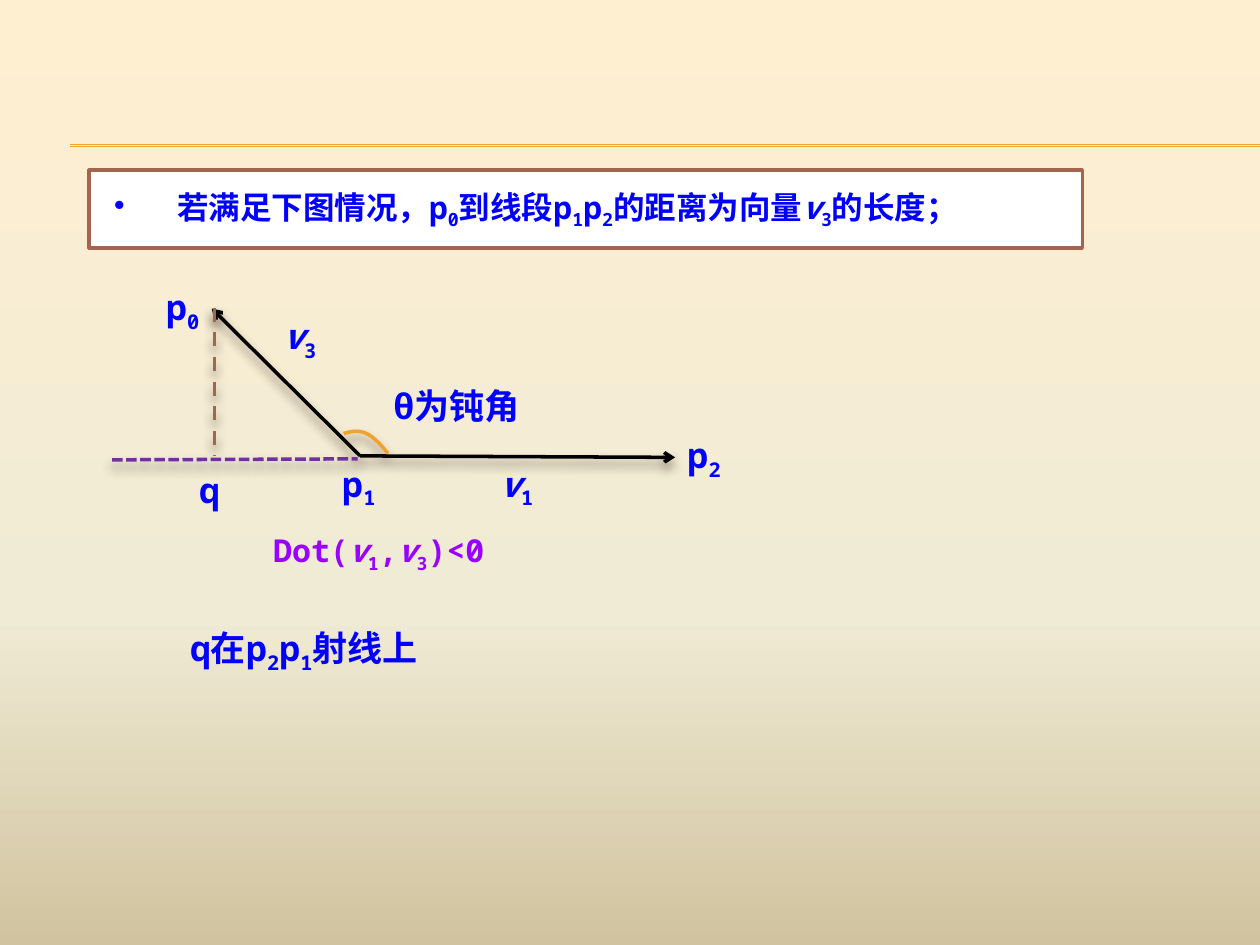
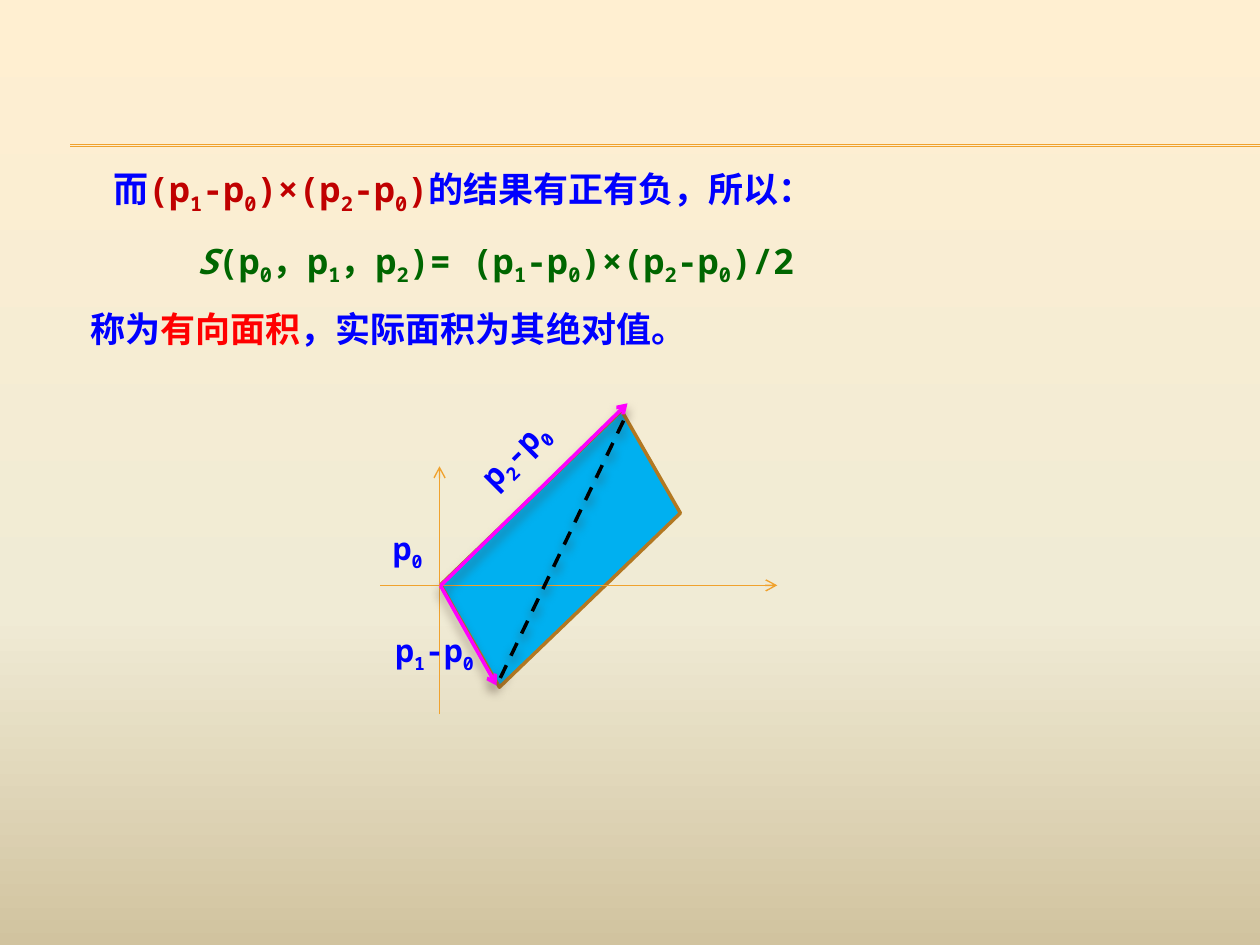
from dataclasses import dataclass
from typing import NamedTuple, Optional

from lxml.etree import SubElement
from copy import deepcopy
from pptx import Presentation
from pptx.dml.color import RGBColor
from pptx.enum.dml import MSO_LINE
from pptx.enum.shapes import MSO_CONNECTOR, MSO_SHAPE
from pptx.enum.text import MSO_ANCHOR, PP_ALIGN
from pptx.oxml.ns import qn
from pptx.util import Cm, Pt

FONT = "Noto Sans Mono"
BLUE = RGBColor(0x00, 0x00, 0xFF)
RED = RGBColor(0xFF, 0x00, 0x00)
DARK_RED = RGBColor(0xC0, 0x00, 0x00)
GREEN = RGBColor(0x00, 0x66, 0x00)
VIOLET = RGBColor(0x99, 0x00, 0xFF)
PURPLE = RGBColor(0x70, 0x30, 0xA0)
MAGENTA = RGBColor(0xFF, 0x00, 0xFF)
ORANGE = RGBColor(0xF0, 0xA2, 0x2E)
BROWN = RGBColor(0xA5, 0x64, 0x4E)
OCHRE = RGBColor(0xB2, 0x78, 0x22)
SKY = RGBColor(0x00, 0xB0, 0xF0)
BLACK = RGBColor(0x00, 0x00, 0x00)
WHITE = RGBColor(0xFF, 0xFF, 0xFF)
SHADOW = RGBColor(0x4E, 0x3B, 0x30)
BACKGROUND = [
    (0, RGBColor(0xFF, 0xEF, 0xD1)),
    (0.65, RGBColor(0xF0, 0xEB, 0xD5)),
    (1, RGBColor(0xD1, 0xC3, 0x9F)),
]

Point = tuple[float, float]


class Part(NamedTuple):
    """Text in one colour; "|" splits runs, "_" leads a subscript, "~" an italic."""
    text: str
    color: RGBColor = BLUE


@dataclass
class Label:
    left: float
    top: float
    width: float
    text: str
    size: int = 20
    color: RGBColor = BLUE
    indent: float = 0
    rotation: float = 0


@dataclass
class Stroke:
    start: Point
    end: Point
    color: RGBColor
    width: float = 2
    dash: Optional[MSO_LINE] = None
    arrow: bool = False
    shadow: bool = True


# Drawing helpers, all lengths in centimetres
def write_parts(para, parts: list[Part], size: int) -> None:
    for part in parts:
        for piece in part.text.split("|"):
            span = para.add_run()
            span.text = piece.lstrip("_~")
            span.font.name = FONT
            span.font.size = Pt(size)
            span.font.bold = True
            span.font.color.rgb = part.color
            if piece.startswith("~"):
                span.font.italic = True
            if piece.startswith("_"):
                span.font._element.set("baseline", "-25000")


def set_effects(shape, shadow: bool) -> None:
    effects = SubElement(shape._element.spPr, qn("a:effectLst"))
    if shadow:
        outer = SubElement(effects, qn("a:outerShdw"), blurRad=str(Pt(6)),
                           dist=str(Pt(4)), dir="5400000", rotWithShape="0")
        color = SubElement(outer, qn("a:srgbClr"), val=str(SHADOW))
        SubElement(color, qn("a:alpha"), val="60000")


def draw_stroke(page, stroke: Stroke) -> None:
    ends = [Cm(value) for value in stroke.start + stroke.end]
    connector = page.shapes.add_connector(MSO_CONNECTOR.STRAIGHT, *ends)
    line = connector.line
    line.color.rgb = stroke.color
    line.width = Pt(stroke.width)
    if stroke.dash:
        line.dash_style = stroke.dash
    if stroke.arrow:
        SubElement(connector._element.spPr.find(qn("a:ln")), qn("a:tailEnd"), type="arrow")
    set_effects(connector, stroke.shadow)


def draw_label(page, label: Label) -> None:
    height = 1.11 if label.size == 20 else 1.02
    box = page.shapes.add_textbox(Cm(label.left), Cm(label.top), Cm(label.width), Cm(height))
    box.rotation = label.rotation
    box.text_frame.word_wrap = True
    para = box.text_frame.paragraphs[0]
    indent_paragraph(para, 0, label.indent)
    write_parts(para, [Part(label.text, label.color)], label.size)


def indent_paragraph(para, margin: float, first: float) -> None:
    properties = para._p.get_or_add_pPr()
    properties.set("marL", str(Cm(margin)))
    properties.set("indent", str(Cm(first)))


def cubic(a: Point, b: Point, c: Point, d: Point, steps: int = 10) -> list[Point]:
    points = []
    for step in range(1, steps + 1):
        t = step / steps
        weights = ((1 - t) ** 3, 3 * t * (1 - t) ** 2, 3 * t ** 2 * (1 - t), t ** 3)
        points.append(tuple(sum(w * p[axis] for w, p in zip(weights, (a, b, c, d)))
                            for axis in (0, 1)))
    return points


def draw_curve(page, points: list[Point]) -> None:
    corners = [(Cm(x), Cm(y)) for x, y in points]
    builder = page.shapes.build_freeform(*corners[0])
    builder.add_line_segments(corners[1:], close=False)
    curve = builder.convert_to_shape()
    curve.fill.background()
    curve.line.color.rgb = ORANGE
    curve.line.width = Pt(2)
    set_effects(curve, True)


# Shared look
def paint_background(deck) -> None:
    master = deck.slide_master
    fill = master.background.fill
    fill.gradient()
    fill.gradient_angle = 270
    stops = master.element.find(".//" + qn("p:bg")).find(".//" + qn("a:gsLst"))
    stops.append(deepcopy(stops[0]))
    for stop, (position, color) in zip(fill.gradient_stops, BACKGROUND):
        stop.position = position
        stop.color.rgb = color


def add_page(deck):
    page = deck.slides.add_slide(deck.slide_layouts[6])
    for y in (2.92, 2.95):
        draw_stroke(page, Stroke((1.42, y), (25.4, y), ORANGE, 0.75, shadow=False))
    return page


def build_obtuse_angle_page(deck) -> None:
    page = add_page(deck)

    # Statement in a framed box
    box = page.shapes.add_shape(MSO_SHAPE.RECTANGLE, Cm(1.8), Cm(3.43), Cm(20.02), Cm(1.57))
    box.shadow.inherit = False
    box.fill.solid()
    box.fill.fore_color.rgb = WHITE
    box.line.color.rgb = BROWN
    box.line.width = Pt(2)
    frame = box.text_frame
    frame.word_wrap = True
    frame.vertical_anchor = MSO_ANCHOR.MIDDLE
    frame.margin_left = Cm(0.5)
    frame.margin_top = frame.margin_bottom = Cm(0.4)
    para = frame.paragraphs[0]
    para.alignment = PP_ALIGN.LEFT
    indent_paragraph(para, 1.27, -1.27)
    bullet_color = SubElement(para._p.get_or_add_pPr(), qn("a:buClr"))
    SubElement(bullet_color, qn("a:srgbClr"), val=str(BLUE))
    SubElement(para._p.get_or_add_pPr(), qn("a:buChar"), char="•")
    write_parts(para, [Part("若满足下图情况，p|_0|到线段p|_1|p|_2|的距离为向量|~v|_3|的长度；")], 18)

    # Vectors from p1, its extension and the perpendicular
    p1 = (7.26, 9.19)
    for stroke in (
        Stroke(p1, (4.27, 6.22), BLACK, arrow=True),
        Stroke(p1, (13.61, 9.22), BLACK, arrow=True),
        Stroke((2.26, 9.27), (7.21, 9.25), PURPLE, dash=MSO_LINE.SQUARE_DOT),
        Stroke((4.32, 6.2), (4.32, 9.19), BROWN, dash=MSO_LINE.DASH),
    ):
        draw_stroke(page, stroke)

    # Angle mark
    start, middle, end = (6.93, 8.74), (7.39, 8.74), (7.82, 9.14)
    draw_curve(page, [start]
               + cubic(start, (7.09, 8.69), (7.24, 8.67), middle)
               + cubic(middle, (7.54, 8.81), (7.7, 8.99), end))

    for label in (
        Label(3.76, 9.32, 1, "q"),
        Label(6.65, 9.19, 1.4, "p|_1"),
        Label(13.61, 8.61, 1.4, "p|_2"),
        Label(3.1, 5.64, 1.4, "p|_0"),
        Label(7.26, 7.62, 4.17, "θ为钝角", indent=0.42),
        Label(5.26, 10.59, 5.64, "Dot(|~v|_1|,|~v|_3|)<0", 18, VIOLET),
        Label(9.83, 9.19, 1.2, "~v|_1"),
        Label(5.46, 6.22, 1.2, "~v|_3"),
        Label(3.58, 12.5, 6.15, "q在p|_2|p|_1|射线上"),
    ):
        draw_label(page, label)


def build_signed_area_page(deck) -> None:
    page = add_page(deck)

    # Formula text: first-line indent and parts of each paragraph
    cross = "(p|_1|-p|_0|)×(p|_2|-p|_0|)"
    paragraphs = [
        (0.46, [Part("而"), Part(cross, DARK_RED), Part("的结果有正有负，所以：")]),
        (2.15, [Part(f"~S|(p|_0|，p|_1|，p|_2|)= {cross}/2", GREEN)]),
        (0, [Part("称为"), Part("有向面积", RED), Part("，实际面积为其绝对值。")]),
    ]
    box = page.shapes.add_textbox(Cm(1.57), Cm(2.77), Cm(23.01), Cm(4.11))
    frame = box.text_frame
    frame.word_wrap = True
    for index, (indent, parts) in enumerate(paragraphs):
        para = frame.add_paragraph() if index else frame.paragraphs[0]
        para.line_spacing = 1.5
        indent_paragraph(para, 0, indent)
        write_parts(para, parts, 20)

    # Area spanned by the two vectors
    area = page.shapes.add_shape(MSO_SHAPE.PARALLELOGRAM, Cm(8.48), Cm(9.91), Cm(5.64), Cm(2.31))
    area.shadow.inherit = False
    area.rotation = 316.1
    area.fill.solid()
    area.fill.fore_color.rgb = SKY
    area.line.color.rgb = OCHRE
    area.line.width = Pt(2)

    # Axes, vectors and diagonal
    origin = (8.88, 11.81)
    for stroke in (
        Stroke((7.67, 11.8), (15.67, 11.8), ORANGE, 0.79, arrow=True, shadow=False),
        Stroke((8.86, 14.4), (8.86, 9.4), ORANGE, 0.79, arrow=True, shadow=False),
        Stroke(origin, (12.65, 8.13), MAGENTA, arrow=True),
        Stroke(origin, (10.01, 13.82), MAGENTA, arrow=True),
        Stroke((12.57, 8.48), (10.06, 13.72), BLACK, dash=MSO_LINE.DASH),
    ):
        draw_stroke(page, stroke)

    for label in (
        Label(9.27, 8.53, 2.39, "p|_2|-p|_0", 18, rotation=315.1),
        Label(7.72, 12.6, 2.4, "p|_1|-p|_0", 18),
        Label(7.67, 10.54, 1.2, "p|_0", 18),
    ):
        draw_label(page, label)


def main() -> None:
    deck = Presentation()
    deck.slide_width, deck.slide_height = Cm(25.4), Cm(19.05)
    paint_background(deck)
    build_obtuse_angle_page(deck)
    build_signed_area_page(deck)
    deck.save("out.pptx")


if __name__ == "__main__":
    main()
